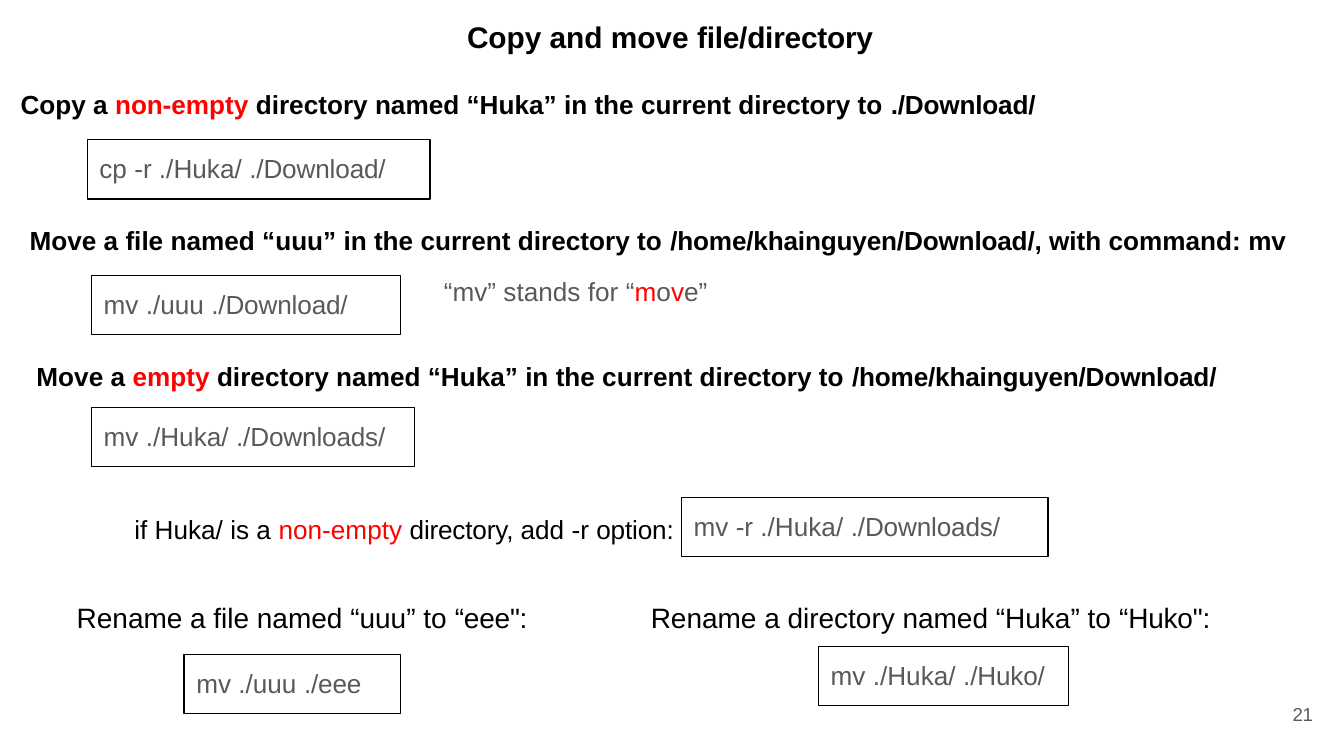
"""Builds a slide on copying, moving and renaming files and directories."""
from pptx import Presentation
from pptx.dml.color import RGBColor as RGB
from pptx.enum.shapes import MSO_SHAPE as SHAPE
from pptx.enum.text import MSO_ANCHOR as ANCHOR, PP_ALIGN as ALIGN
from pptx.util import Cm, Pt

THEME = {
    "font": "Arial", "black": RGB(0, 0, 0), "grey": RGB(0x59, 0x59, 0x59),
    "red": RGB(0xFF, 0, 0), "title": 16, "rename": 15, "body": 14, "number": 10,
    "line": 0.75,
}
TIGHT = -10
BOX_H = 1.12

TITLE = ("Copy and move ", ("file/directory", None, TIGHT))

HEADINGS = [
    (0.36, 1.65, 19.23, ("Copy a ", ("non-", "red", TIGHT), ("empty ", "red"),
                         "directory named “Huka” in the current directory to ",
                         ("./Download/", None, TIGHT))),
    (0.53, 4.22, 23.85, ("Move a file named “uuu” in the current directory to ",
                         ("/home/khainguyen/Download/, ", None, TIGHT),
                         "with command: ", ("mv", None, 2 * TIGHT))),
    (0.66, 6.78, 22.38, ("Move a ", ("empty ", "red"),
                         "directory named “Huka” in the current directory to ",
                         ("/home/khainguyen/Download/", None, TIGHT))),
]

NOTES = [
    (8.36, 5.18, 5.03, "grey", "body",
     ("“mv” stands for ", ("“", None, TIGHT), ("m", "red", TIGHT),
      ("o", None, TIGHT), ("v", "red", TIGHT), ("e”", None, TIGHT))),
    (2.51, 9.68, 10.29, "black", "body",
     ("if Huka/ is a ", ("non-empty ", "red"), ("directory, ", None, TIGHT),
      "add -r ", ("option:", None, TIGHT))),
    (1.42, 11.33, 8.61, "black", "rename",
     ("Rename a file named “uuu” to ", ("“eee\":", None, TIGHT))),
    (12.27, 11.33, 10.67, "black", "rename",
     ("Rename a directory named “Huka” to ", ("“Huko\":", None, TIGHT))),
]

COMMANDS = [
    (1.65, 2.64, 6.48, "cp -r ./Huka/ ", "./Download/"),
    (1.73, 5.21, 5.84, "mv ./uuu ", "./Download/"),
    (1.73, 7.7, 6.1, "mv ./Huka/ ", "./Downloads/"),
    (12.88, 9.4, 6.93, "mv -r ./Huka/ ", "./Downloads/"),
    (3.48, 12.37, 4.09, "mv ./uuu ", "./eee"),
    (15.47, 12.22, 4.72, "mv ./Huka/ ", "./Huko/"),
]


def write(sp, runs, size="body", color="black", bold=False, align=ALIGN.LEFT,
          left=0.03, top=0.03):
    """Fill a shape with one paragraph of formatted runs."""
    tf = sp.text_frame
    tf.word_wrap = True
    tf.vertical_anchor = ANCHOR.TOP
    tf.margin_left, tf.margin_top = Cm(left), Cm(top)
    tf.margin_right = tf.margin_bottom = 0
    p = tf.paragraphs[0]
    p.alignment = align
    for run in runs:
        text, tint, spacing = ((run,) if isinstance(run, str) else run) + (None,) * (
            2 if isinstance(run, str) else 3 - len(run))
        r = p.add_run()
        r.text = text
        r.font.name = THEME["font"]
        r.font.size = Pt(THEME[size])
        r.font.bold = bold
        r.font.color.rgb = THEME[tint or color]
        if spacing:
            r.font._element.set("spc", str(spacing))


def add_text(s, x, y, w, h, runs, **fmt):
    """Add a text box holding the runs."""
    write(s.shapes.add_textbox(Cm(x), Cm(y), Cm(w), Cm(h)), runs, **fmt)


def add_command(s, x, y, w, runs):
    """Add an outlined box holding a shell command."""
    sp = s.shapes.add_shape(SHAPE.RECTANGLE, Cm(x), Cm(y), Cm(w), Cm(BOX_H))
    sp.shadow.inherit = False
    sp.fill.background()
    sp.line.color.rgb = THEME["black"]
    sp.line.width = Pt(THEME["line"])
    write(sp, runs, color="grey", left=0.23, top=0.25)


def main():
    """Build and save the slide."""
    prs = Presentation()
    prs.slide_width, prs.slide_height = Cm(25.4), Cm(14.29)
    s = prs.slides.add_slide(prs.slide_layouts[6])
    add_text(s, 0.56, 0.32, 24.18, 1.32, TITLE, size="title", bold=True,
             align=ALIGN.CENTER)
    for x, y, w, runs in HEADINGS:
        add_text(s, x, y, w, 0.66, runs, bold=True)
    for x, y, w, color, size, runs in NOTES:
        add_text(s, x, y, w, 0.7, runs, color=color, size=size)
    for x, y, w, command, target in COMMANDS:
        add_command(s, x, y, w, (command, (target, None, TIGHT)))
    add_text(s, 24.33, 13.28, 0.64, 0.46, (("21", None, 2 * TIGHT),),
             size="number", color="grey", left=0.1, top=0)
    prs.save("out.pptx")


if __name__ == "__main__":
    main()
